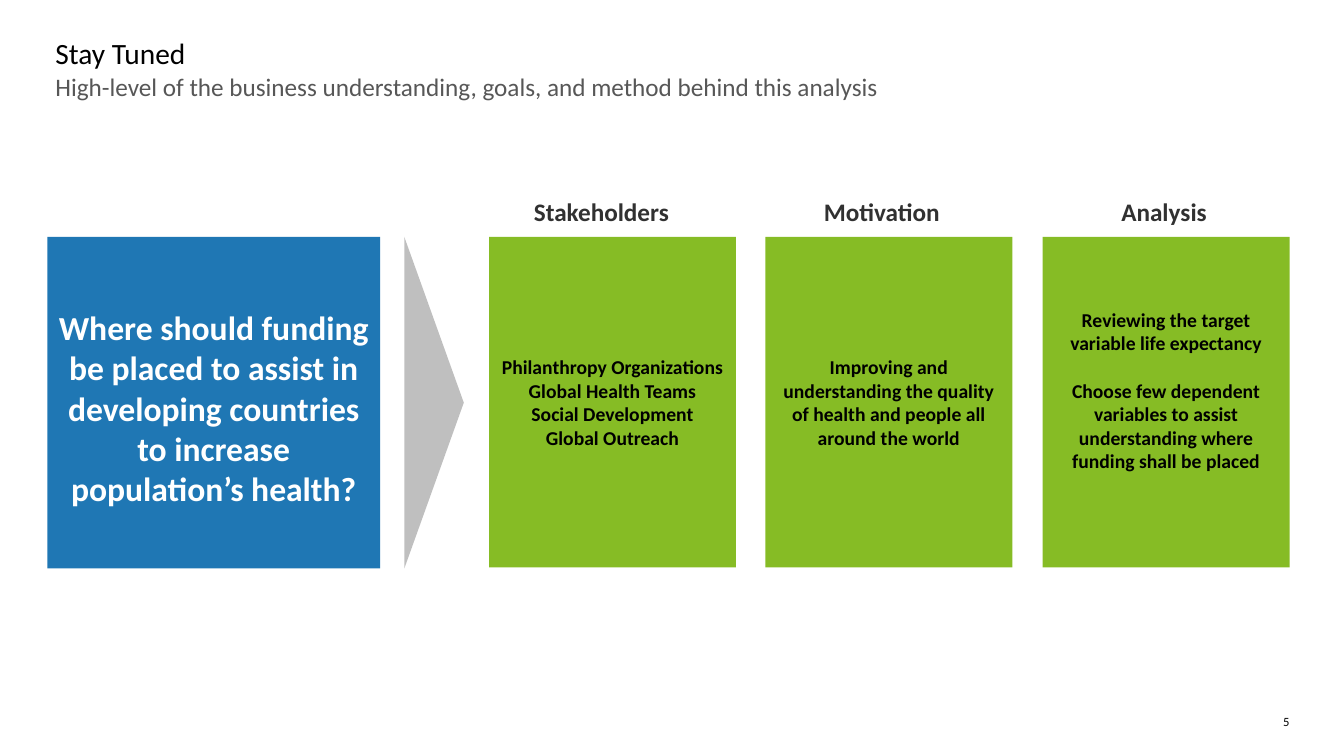
from dataclasses import dataclass

from pptx import Presentation
from pptx.dml.color import RGBColor
from pptx.enum.shapes import MSO_SHAPE
from pptx.enum.text import MSO_ANCHOR, MSO_AUTO_SIZE, PP_ALIGN
from pptx.util import Emu, Pt

PX = 9144


@dataclass(frozen=True)
class Theme:
    font: str = "Calibri"
    black: str = "000000"
    white: str = "FFFFFF"
    subtitle: str = "575757"
    heading: str = "313131"
    question: str = "1F77B4"
    arrow: str = "BFBFBF"
    card: str = "86BC25"
    title_size: int = 21
    body_size: int = 18
    question_size: int = 24
    card_size: int = 14
    number_size: int = 9


THEME = Theme()

COLUMNS = [
    ("Stakeholders", 1, 10, 0, [
        "Philanthropy Organizations",
        "Global Health Teams",
        "Social Development",
        "Global Outreach",
    ]),
    ("Motivation", 5, 10, 0, [
        "Improving and understanding the quality of health and people all around the world",
    ]),
    ("Analysis", 10, 34, 17, [
        "Reviewing the target variable life expectancy",
        "Choose few dependent variables to assist understanding where funding shall be placed",
    ]),
]


def emu(box):
    return [Emu(v * PX) for v in box]


def write(sp, lines, size, color, bold=False, align=PP_ALIGN.LEFT,
          anchor=MSO_ANCHOR.TOP, insets=(0, 0, 0, 0), gap=0):
    tf = sp.text_frame
    left, top, right, bottom = emu(insets)
    frame = {
        "word_wrap": True,
        "auto_size": MSO_AUTO_SIZE.NONE,
        "vertical_anchor": anchor,
        "margin_left": left,
        "margin_top": top,
        "margin_right": right,
        "margin_bottom": bottom,
    }
    for name, value in frame.items():
        setattr(tf, name, value)
    for i, line in enumerate(lines):
        p = tf.paragraphs[0] if i == 0 else tf.add_paragraph()
        p.alignment = align
        if i < len(lines) - 1:
            p.space_after = Pt(gap)
        r = p.add_run()
        r.text = line
        for name, value in {"name": THEME.font, "size": Pt(size), "bold": bold}.items():
            setattr(r.font, name, value)
        r.font.color.rgb = RGBColor.from_string(color)


def add_text(s, box, text, size, color, **formats):
    sp = s.shapes.add_textbox(*emu(box))
    write(sp, [text], size, color, **formats)


def add_block(s, kind, box, fill):
    sp = s.shapes.add_shape(kind, *emu(box))
    sp.shadow.inherit = False
    sp.fill.solid()
    sp.fill.fore_color.rgb = RGBColor.from_string(fill)
    sp.line.fill.background()
    return sp


def add_header(s, box):
    x, y, w, h = box
    title = s.shapes.title
    for name, value in zip(("left", "top", "width", "height"), emu((x, y, w, 37))):
        setattr(title, name, value)
    write(title, ["Stay Tuned"], THEME.title_size, THEME.black)
    add_text(s, (x, y + 36, w, h - 36),
             "High-level of the business understanding, goals, and method behind this analysis",
             THEME.body_size, THEME.subtitle)


def add_question(s, box):
    x, y, w, h = box
    sp = add_block(s, MSO_SHAPE.RECTANGLE, (x, y, 330, h), THEME.question)
    write(sp, ["Where should funding be placed to assist in developing countries "
               "to increase population’s health?"],
          THEME.question_size, THEME.white, bold=True, align=PP_ALIGN.CENTER,
          anchor=MSO_ANCHOR.MIDDLE, insets=(10, 20, 10, 10))
    arrow = add_block(s, MSO_SHAPE.PENTAGON, (x + w - 59, y, 59, h), THEME.arrow)
    arrow.adjustments[0] = 1


def add_columns(s, box):
    x, y, w, h = box
    card_w, heading_h = 245, 40
    for i, (heading, shift, bottom, gap, lines) in enumerate(COLUMNS):
        left = x + i * (w - card_w) // (len(COLUMNS) - 1)
        sp = add_block(s, MSO_SHAPE.RECTANGLE,
                       (left, y + heading_h, card_w, h - heading_h), THEME.card)
        write(sp, lines, THEME.card_size, THEME.black, bold=True,
              align=PP_ALIGN.CENTER, anchor=MSO_ANCHOR.MIDDLE,
              insets=(10, 10, 10, bottom), gap=gap)
        add_text(s, (left + shift, y, 221, 30), heading, THEME.body_size,
                 THEME.heading, bold=True, align=PP_ALIGN.CENTER)


def add_page_number(s, box):
    add_text(s, box, "5", THEME.number_size, THEME.black, align=PP_ALIGN.RIGHT)


def main():
    prs = Presentation()
    prs.slide_width, prs.slide_height = emu((1333, 750))
    s = prs.slides.add_slide(prs.slide_layouts[5])
    add_header(s, (55, 35, 1224, 119))
    add_question(s, (47, 235, 413, 329))
    add_columns(s, (485, 195, 794, 368))
    add_page_number(s, (1245, 708, 34, 15))
    prs.save("out.pptx")


if __name__ == "__main__":
    main()
